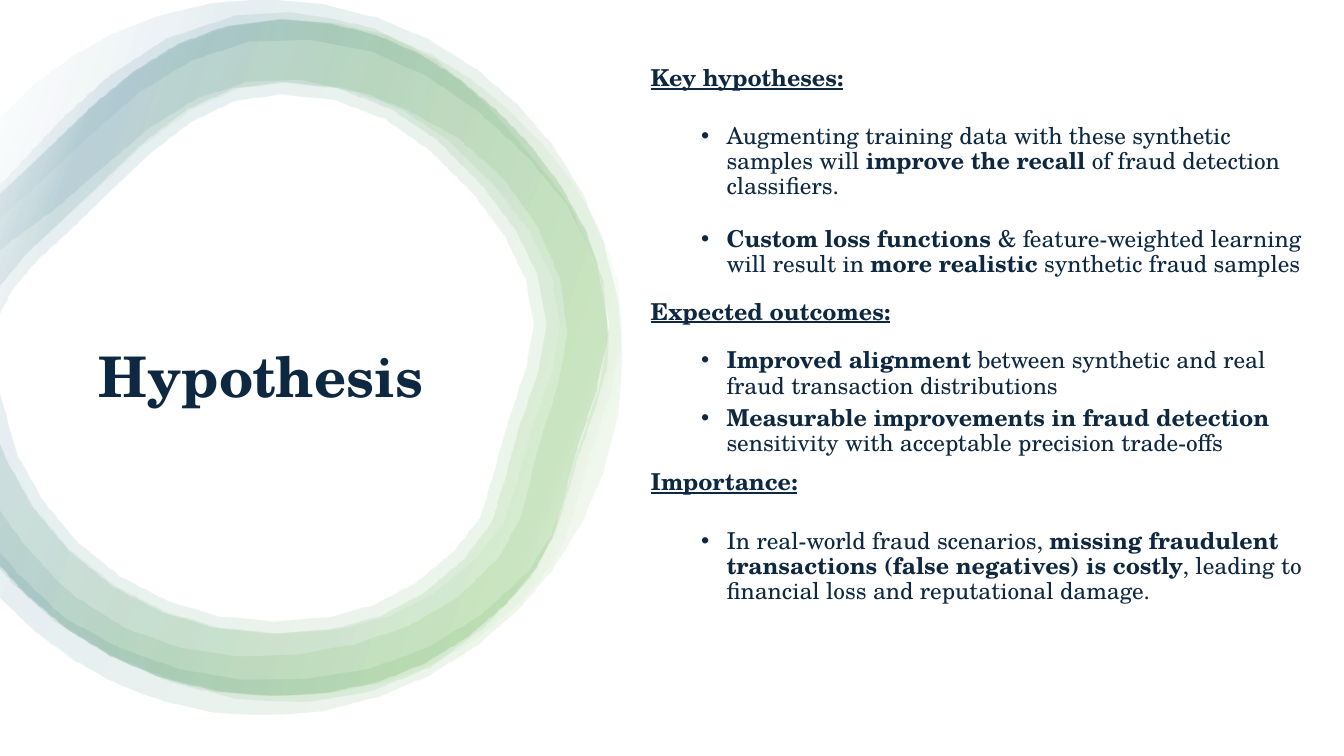
from dataclasses import dataclass
from math import dist

from lxml import etree
from pptx import Presentation
from pptx.dml.color import RGBColor
from pptx.enum.text import MSO_ANCHOR, MSO_AUTO_SIZE, PP_ALIGN
from pptx.oxml.ns import qn
from pptx.util import Cm, Pt

MIDDLE, TOP = MSO_ANCHOR.MIDDLE, MSO_ANCHOR.TOP
LEFT = PP_ALIGN.LEFT
NO_AUTOFIT = MSO_AUTO_SIZE.NONE
TITLE_ONLY = 5
SAMPLE_LENGTH = 50


@dataclass(frozen=True)
class Theme:
    font: str = "TeX Gyre Schola"
    ink: str = "0E2841"
    green: str = "4EA72E"
    teal: str = "156082"
    white: str = "FFFFFF"
    title_size: float = 40
    body_size: float = 16.6
    ring_opacity: int = 10
    ring_angle: int = 160
    line_spacing: float = 0.9


THEME = Theme()

# Ring outlines in hundredths of an inch. Each edge runs from the slide's left side and back to it.
# Curves: a start point, then two handles and an end point for each segment.
BRUSH_OUTER = """-1,193 23,171 39,156 55,140 118,77 182,19 278,19 383,19 461,70 525,143
    578,205 625,294 591,387 545,511 565,535 502,598 439,661 367,690 270,690
    175,690 89,651 26,589 18,581 10,573 -1,559"""
BRUSH_WIDE_INNER = """-1,384 4,408 10,432 17,449 32,482 52,512 77,537 129,588 198,616 271,616
    348,616 401,595 450,546 467,530 473,520 476,513 481,503 484,489 489,470
    496,445 504,410 522,362 532,335 531,308 521,277 511,249 494,220 469,192
    440,159 412,135 382,118 350,101 316,93 278,93 212,93 165,134 107,192
    94,205 81,217 69,229 45,250 25,268 12,288 6,296 2,304 -1,314"""
BRUSH_INNER = """-1,435 1,441 4,448 6,454 21,488 42,519 69,546 123,599 194,628 270,628
    311,628 346,623 376,611 406,599 433,581 459,555 477,537 483,526 487,518
    492,507 496,493 501,473 507,448 516,413 534,366 544,337 544,306 533,273
    523,244 504,213 478,184 449,149 419,125 388,108 354,89 318,81 278,81
    246,81 217,89 186,108 155,127 126,156 98,184 85,197 73,208 60,220
    36,241 16,260 -1,285"""
HALO_OUTER = """-1,118 64,46 158,0 262,0 458,0 617,159 617,354 617,550 458,709 262,709
    158,709 68,666 -1,591"""
# Splines: points that the edge passes through.
HALO_INNER = """-1,545 16,566 64,612 119,642 178,663 240,673 303,672 365,663 423,642 477,609
    523,567 548,527 563,480 572,449 593,386 604,323 598,283 591,260 562,203 521,154
    474,111 423,76 367,51 307,40 246,42 189,61 137,93 89,135 41,180 -1,218"""
BAND_OUTER = """-1,185 18,165 60,120 108,76 165,39 233,16 287,13 372,29 433,60 483,104 515,141
    546,178 565,204 593,264 604,330 602,364 593,397 573,454 551,528 526,573 481,621
    427,661 365,686 299,696 233,692 170,676 110,650 55,616 13,578 -1,562"""
BAND_INNER = """-1,504 24,539 58,576 75,591 124,622 180,642 238,650 296,648 352,638 406,620
    455,591 496,551 518,509 534,443 553,383 563,330 555,275 532,223 498,176 454,137
    403,109 365,94 298,80 245,82 196,98 149,127 104,165 57,206 8,242 -1,250"""

HEADING = {"bold": True, "underline": True}
STRONG = {"bold": True}
PLAIN = {"bold": False}

# (bulleted, space before, space after, runs)
BODY = [
    (False, 10, 10, [("Key hypotheses:", HEADING)]),
    (True, 13.5, 6, [
        ("Augmenting training data with these synthetic samples will ", PLAIN),
        ("improve the recall ", STRONG),
        ("of fraud detection classifiers.", PLAIN)]),
    (True, 13.5, 6, [
        ("Custom loss functions ", STRONG),
        ("& feature-weighted learning will result in ", PLAIN),
        ("more realistic", STRONG),
        (" synthetic fraud samples", PLAIN)]),
    (False, 10, 12, [("Expected outcomes:", HEADING)]),
    (True, 5, 0, [
        ("Improved alignment", STRONG),
        (" between synthetic and real fraud transaction distributions", PLAIN)]),
    (True, 5, 0, [
        ("Measurable improvements in fraud detection", STRONG),
        (" sensitivity with acceptable precision trade-offs", PLAIN)]),
    (False, 10, 12, [("Importance:", HEADING)]),
    (True, 12, 12, [
        ("In real-world fraud scenarios, ", PLAIN),
        ("missing fraudulent transactions (false negatives) is costly", STRONG),
        (", leading to financial loss and reputational damage.", PLAIN)]),
]


def read_points(text):
    return [tuple(float(value) for value in pair.split(",")) for pair in text.split()]


def curve(points):
    """Sample a chain of cubic Bézier segments at roughly equal lengths."""
    sampled = [points[0]]
    for start in range(0, len(points) - 1, 3):
        segment = points[start:start + 4]
        steps = max(1, round(dist(segment[0], segment[3]) / SAMPLE_LENGTH))
        for step in range(1, steps + 1):
            t = step / steps
            weights = ((1 - t) ** 3, 3 * t * (1 - t) ** 2, 3 * t * t * (1 - t), t ** 3)
            sampled.append(tuple(
                sum(weight * point[axis] for weight, point in zip(weights, segment))
                for axis in (0, 1)))
    return sampled


def spline(points):
    """Sample a smooth line through the points (Catmull-Rom)."""
    padded = [points[0], *points, points[-1]]
    chain = [points[0]]
    for before, start, end, after in zip(padded, padded[1:], padded[2:], padded[3:]):
        chain.append(tuple(s + (e - b) / 6 for b, s, e in zip(before, start, end)))
        chain.append(tuple(e - (a - s) / 6 for s, e, a in zip(start, end, after)))
        chain.append(end)
    return curve(chain)


def fill_gradient(shape, stops):
    shape.fill.gradient()
    shape.fill.gradient_angle = THEME.ring_angle
    stop_list = shape.element.spPr.find(".//" + qn("a:gsLst"))
    for old_stop in list(stop_list):
        stop_list.remove(old_stop)
    for position, color in stops:
        stop = etree.SubElement(stop_list, qn("a:gs"), pos=str(position * 1000))
        rgb = etree.SubElement(stop, qn("a:srgbClr"), val=color)
        etree.SubElement(rgb, qn("a:alpha"), val=str(THEME.ring_opacity * 1000))


def add_ring(slide, left, top):
    """Layer five translucent bands into one brushed ring."""
    brush_outer = curve(read_points(BRUSH_OUTER))
    brush = brush_outer + curve(read_points(BRUSH_INNER))
    wide_brush = brush_outer + curve(read_points(BRUSH_WIDE_INNER))
    stretched_brush = [((x + 1) * 1.025 - 1, y) for x, y in brush]
    band = spline(read_points(BAND_OUTER)) + spline(read_points(BAND_INNER))
    halo = curve(read_points(HALO_OUTER)) + spline(read_points(HALO_INNER))

    green, teal, white = THEME.green, THEME.teal, THEME.white
    brush_stops = [(2, white), (16, green), (85, teal), (100, white)]
    layers = [
        (band, [(37, green), (85, teal), (100, white)]),
        (stretched_brush, [(2, white), (54, green), (100, white)]),
        (wide_brush, brush_stops),
        (brush, brush_stops),
        (halo, [(2, white), (16, green), (74, teal), (100, white)]),
    ]
    group = slide.shapes.add_group_shape()
    for outline, stops in layers:
        points = [(x * 10, y * 10) for x, y in outline]
        builder = group.shapes.build_freeform(*points[0], scale=Cm(2.54) / 1000)
        builder.add_line_segments(points[1:], close=True)
        shape = builder.convert_to_shape(Cm(left), Cm(top))
        shape.shadow.inherit = False
        shape.line.fill.background()
        fill_gradient(shape, stops)


def place(shape, box):
    for name, value in zip(("left", "top", "width", "height"), box):
        setattr(shape, name, Cm(value))


def add_run(paragraph, text, size, style):
    run = paragraph.add_run()
    run.text = text
    for name, value in {"name": THEME.font, "size": Pt(size), **style}.items():
        setattr(run.font, name, value)
    run.font.color.rgb = RGBColor.from_string(THEME.ink)


def format_title(slide, box):
    title = slide.shapes.title
    place(title, box)
    frame = title.text_frame
    for name, value in {"vertical_anchor": MIDDLE, "word_wrap": True, "auto_size": NO_AUTOFIT}.items():
        setattr(frame, name, value)
    paragraph = frame.paragraphs[0]
    paragraph.alignment = LEFT
    paragraph.line_spacing = THEME.line_spacing
    add_run(paragraph, "Hypothesis", THEME.title_size, STRONG)


def add_body(slide, box):
    frame = slide.shapes.add_textbox(*(Cm(value) for value in box)).text_frame
    for name, value in {"vertical_anchor": TOP, "word_wrap": True, "margin_top": Cm(0.66)}.items():
        setattr(frame, name, value)
    for index, (bulleted, before, after, runs) in enumerate(BODY):
        paragraph = frame.add_paragraph() if index else frame.paragraphs[0]
        spacing = {"level": int(bulleted), "line_spacing": THEME.line_spacing,
                   "space_before": Pt(before), "space_after": Pt(after)}
        for name, value in spacing.items():
            setattr(paragraph, name, value)
        properties = paragraph._p.get_or_add_pPr()
        properties.set("marL", str(Cm(1.91 if bulleted else 0.64)))
        properties.set("indent", str(-Cm(0.64)))
        if bulleted:
            etree.SubElement(properties, qn("a:buFont"), typeface="Arial")
            etree.SubElement(properties, qn("a:buChar"), char="•")
        for text, style in runs:
            add_run(paragraph, text, THEME.body_size, style)


def main():
    presentation = Presentation()
    presentation.slide_width, presentation.slide_height = Cm(33.87), Cm(19.05)
    slide = presentation.slides.add_slide(presentation.slide_layouts[TITLE_ONLY])
    add_ring(slide, 0, 0)
    format_title(slide, (2.24, 5.72, 10.19, 7.66))
    add_body(slide, (16.15, 1.02, 17.07, 16.66))
    presentation.save("out.pptx")


if __name__ == "__main__":
    main()
